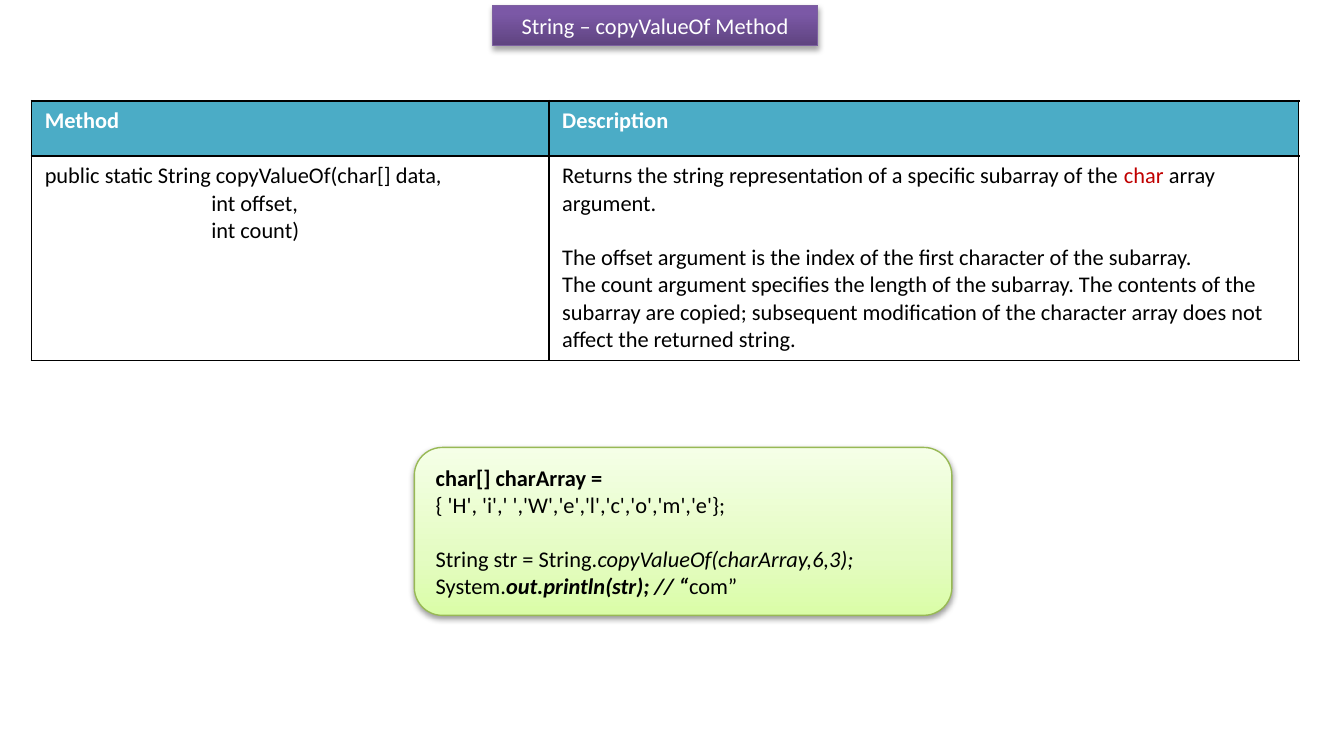
from dataclasses import dataclass
from typing import NamedTuple

from lxml.etree import SubElement
from pptx import Presentation
from pptx.dml.color import RGBColor
from pptx.enum.shapes import MSO_SHAPE
from pptx.enum.text import MSO_ANCHOR, MSO_AUTO_SIZE, PP_ALIGN
from pptx.oxml import parse_xml
from pptx.oxml.ns import nsdecls, qn
from pptx.util import Inches, Pt


@dataclass(frozen=True)
class Theme:
    font: str = "Calibri"
    size: float = 12
    gap: float = 14.6
    edge: float = 0.75
    rule: float = 1
    white: str = "FFFFFF"
    black: str = "000000"
    red: str = "C00000"
    head: str = "4BACC6"


class Run(NamedTuple):
    text: str
    bold: bool = False
    slant: bool = False
    color: str = ""


class Para(NamedTuple):
    runs: list[Run]
    gap: bool = False


class Box(NamedTuple):
    col: float
    row: float
    cols: float
    rows: float


class Look(NamedTuple):
    stops: list[tuple[int, str]]
    line: str
    alpha: int
    drop: float


THEME = Theme()
WIDE, HIGH = Inches(10), Inches(5.5)
COLS, ROWS = 100, 55
TIE = chr(160)

TITLE = Box(36.65, 0.4, 24.2, 3)
TABLE = Box(2.33, 7.5, 94.3, 19.1)
CODE = Box(30.83, 33.3, 40, 12.5)
SPANS = [38.5, 55.8]
BANDS = [4.1, 15]

PURPLE = Look([(0, "5F4480"), (80, "7B58A6"), (100, "7C57A8")], "7D60A0", 35, 1.8)
GREEN = Look([(0, "DAFDA7"), (35, "E4FCC2"), (100, "F5FFE7")], "98B955", 38, 1.6)

HEADS = ["Method", "Description"]
METHOD = [
    Para([Run("public static String copyValueOf(char[] data,")]),
    Para([Run("                                 int offset,")]),
    Para([Run("                                 int count)")]),
]
ABOUT = [
    Para([
        Run(f"Returns the string representation of a specific subarray of the{TIE}"),
        Run("char", color=THEME.red),
        Run(f"{TIE}array argument."),
    ]),
    Para([Run(
        f"The{TIE}offset{TIE}argument is the index of the first character of the subarray. "
        f"The{TIE}count{TIE}argument specifies the length of the subarray. "
        "The contents of the subarray are copied; subsequent modification of the "
        "character array does not affect the returned string."
    )], gap=True),
]
SAMPLE = [
    Para([Run("char[] charArray =", bold=True)]),
    Para([Run("{ 'H', 'i',' ','W','e','l','c','o','m','e'};")]),
    Para([Run("String str = String."), Run("copyValueOf(charArray,6,3);", slant=True)], gap=True),
    Para([
        Run("System."),
        Run("out.println(str); // “", bold=True, slant=True),
        Run("com”"),
    ]),
]


def across(cols: float) -> int:
    return round(WIDE * cols / COLS)


def down(rows: float) -> int:
    return round(HIGH * rows / ROWS)


def place(box: Box) -> tuple[int, int, int, int]:
    return across(box.col), down(box.row), across(box.cols), down(box.rows)


def write(frame, paras: list[Para], *, color: str = THEME.black,
          align: PP_ALIGN = PP_ALIGN.LEFT, anchor: MSO_ANCHOR = MSO_ANCHOR.TOP) -> None:
    frame.word_wrap = True
    frame.vertical_anchor = anchor
    for i, para in enumerate(paras):
        line = frame.paragraphs[0] if i == 0 else frame.add_paragraph()
        line.alignment = align
        if para.gap:
            line.space_before = Pt(THEME.gap)
        for item in para.runs:
            run = line.add_run()
            run.text = item.text
            font = run.font
            font.name, font.size = THEME.font, Pt(THEME.size)
            font.bold, font.italic = item.bold, item.slant
            font.color.rgb = RGBColor.from_string(item.color or color)


def dress(shape, look: Look) -> None:
    shape.line.color.rgb = RGBColor.from_string(look.line)
    shape.line.width = Pt(THEME.edge)
    stops = "".join(
        f'<a:gs pos="{at * 1000}"><a:srgbClr val="{color}"/></a:gs>'
        for at, color in look.stops
    )
    edge = shape.line._ln
    edge.addprevious(parse_xml(
        f'<a:gradFill {nsdecls("a")} rotWithShape="1"><a:gsLst>{stops}</a:gsLst>'
        '<a:lin ang="16200000" scaled="0"/></a:gradFill>'
    ))
    edge.addnext(parse_xml(
        f'<a:effectLst {nsdecls("a")}><a:outerShdw blurRad="{Pt(3.1)}" '
        f'dist="{Pt(look.drop)}" dir="5400000" rotWithShape="0">'
        f'<a:srgbClr val="{THEME.black}"><a:alpha val="{look.alpha * 1000}"/></a:srgbClr>'
        '</a:outerShdw></a:effectLst>'
    ))


def border(cell) -> None:
    props = cell._tc.get_or_add_tcPr()
    for side in ("lnL", "lnR", "lnT", "lnB"):
        line = SubElement(props, qn(f"a:{side}"), w=str(Pt(THEME.rule)))
        fill = SubElement(line, qn("a:solidFill"))
        SubElement(fill, qn("a:srgbClr"), val=THEME.black)


def add_title(slide) -> None:
    title = slide.shapes.title
    title.left, title.top, title.width, title.height = place(TITLE)
    dress(title, PURPLE)
    write(title.text_frame, [Para([Run("String – copyValueOf Method")])],
          color=THEME.white, align=PP_ALIGN.CENTER)
    title.text_frame.auto_size = MSO_AUTO_SIZE.NONE


def add_code(slide) -> None:
    code = slide.shapes.add_shape(MSO_SHAPE.ROUNDED_RECTANGLE, *place(CODE))
    dress(code, GREEN)
    write(code.text_frame, SAMPLE, anchor=MSO_ANCHOR.MIDDLE)


def add_grid(slide) -> None:
    grid = slide.shapes.add_table(len(BANDS), len(SPANS), *place(TABLE)).table
    grid.horz_banding = False
    for col, span in zip(grid.columns, SPANS):
        col.width = across(span)
    for row, band in zip(grid.rows, BANDS):
        row.height = down(band)
    heads = [[Para([Run(head, bold=True)])] for head in HEADS]
    for r, texts in enumerate([heads, [METHOD, ABOUT]]):
        for c, paras in enumerate(texts):
            cell = grid.cell(r, c)
            border(cell)
            if r == 0:
                cell.fill.solid()
                cell.fill.fore_color.rgb = RGBColor.from_string(THEME.head)
            else:
                cell.fill.background()
            write(cell.text_frame, paras, color=THEME.black if r else THEME.white)


def main() -> None:
    deck = Presentation()
    deck.slide_width, deck.slide_height = WIDE, HIGH
    slide = deck.slides.add_slide(deck.slide_layouts[5])
    add_title(slide)
    add_code(slide)
    add_grid(slide)
    deck.save("out.pptx")


if __name__ == "__main__":
    main()
